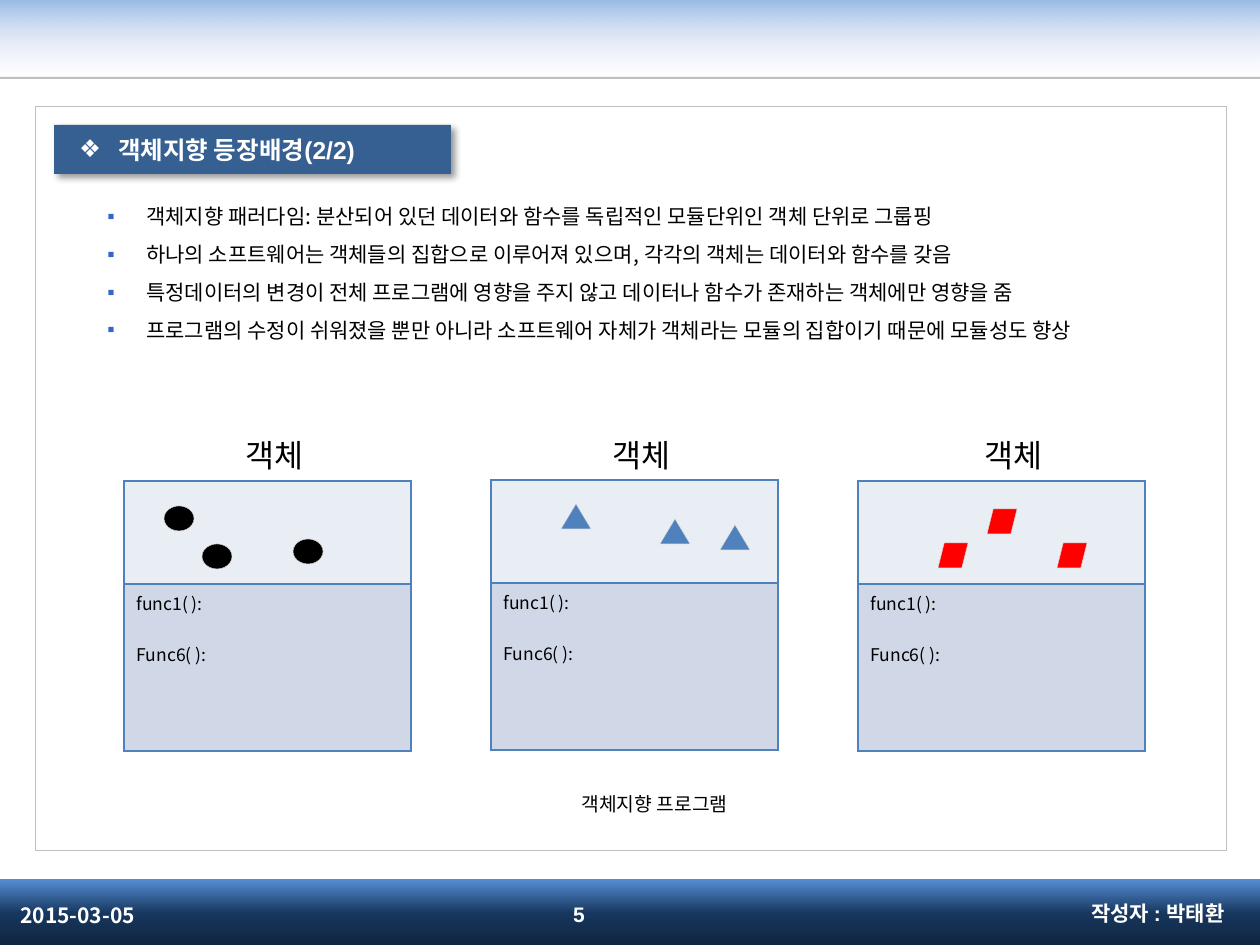
from lxml.etree import SubElement
from pptx import Presentation
from pptx.dml.color import RGBColor
from pptx.enum.shapes import MSO_SHAPE
from pptx.enum.text import MSO_ANCHOR, PP_ALIGN
from pptx.oxml import parse_xml
from pptx.oxml.ns import nsdecls, qn
from pptx.util import Pt

PX = 914400 / 126
THEME = {
    "sans": "Arial", "korean": "Noto Sans CJK KR",
    "text": "000000", "light": "FFFFFF", "rule": "BFBFBF", "title": "376092",
    "bullet": "3366CC", "border": "4F81BD", "data": "E9EDF4", "funcs": "D0D8E8",
    "mark_line": "D9D9D9",
    "title_pt": 14, "body_pt": 12, "caption_pt": 11, "func_pt": 10, "label_pt": 18,
}
# Gradient stops: position %, colour, opacity %
HEADER = [(0, "8EB4E3", 100), (50, "C2D1ED", 50), (100, "E1E8F5", 0)]
FOOTER = [(0, "558ED5", 100), (50, "17375E", 100), (100, "0F243E", 100)]

TITLE = "객체지향 등장배경(2/2)"
POINTS = [
    "객체지향 패러다임: 분산되어 있던 데이터와 함수를 독립적인 모듈단위인 객체 단위로 그룹핑",
    "하나의 소프트웨어는 객체들의 집합으로 이루어져 있으며, 각각의 객체는 데이터와 함수를 갖음",
    "특정데이터의 변경이 전체 프로그램에 영향을 주지 않고 데이터나 함수가 존재하는 객체에만 영향을 줌",
    "프로그램의 수정이 쉬워졌을 뿐만 아니라 소프트웨어 자체가 객체라는 모듈의 집합이기 때문에 모듈성도 향상",
]
FUNCS = ["func1( ):", "Func6( ):"]
CAPTION = "객체지향 프로그램"
FOOTER_TEXTS = [
    ("작성자 : 박태환", (838, 888, 399, 50), PP_ALIGN.RIGHT, "sans"),
    ("2015-03-05", (8, 890, 294, 50), PP_ALIGN.LEFT, "korean"),
    ("5", (432, 890, 294, 49), PP_ALIGN.CENTER, "sans"),
]
# Label box (left, width), table top, mark shape, colour, mark positions
OBJECTS = [
    ("객체", (194, 161), 481, MSO_SHAPE.OVAL, "000000",
     [(164, 506), (202, 544), (293, 539)]),
    ("객체", (544, 195), 480, MSO_SHAPE.ISOSCELES_TRIANGLE, "4F81BD",
     [(561, 504), (660, 519), (720, 525)]),
    ("객체", (907, 214), 481, MSO_SHAPE.PARALLELOGRAM, "FF0000",
     [(987, 509), (938, 543), (1057, 543)]),
]
TABLE_LEFT, TABLE_PITCH, TABLE_W, ROWS = 124, 367, 287, (103, 167)
MARK_SIZE = (30, 25)


def px(*values):
    """Turn pixels into EMU."""
    return [round(v * PX) for v in values]


def rgb(name):
    """Return a theme colour or a hex colour."""
    return RGBColor.from_string(THEME.get(name, name))


def add_box(box, fill=None, line=None, kind=MSO_SHAPE.RECTANGLE):
    """Add a preset shape with a plain fill and a hairline."""
    sp = s.shapes.add_shape(kind, *px(*box))
    sp.shadow.inherit = False
    if fill:
        sp.fill.solid()
        sp.fill.fore_color.rgb = rgb(fill)
    else:
        sp.fill.background()
    if line:
        sp.line.color.rgb = rgb(line)
        sp.line.width = Pt(0.25)
    else:
        sp.line.fill.background()
    return sp


def add_band(box, stops):
    """Add a rectangle with a vertical gradient."""
    sp = add_box(box, "light")
    gs = "".join(
        f'<a:gs pos="{pos * 1000}"><a:srgbClr val="{color}">'
        f'<a:alpha val="{alpha * 1000}"/></a:srgbClr></a:gs>'
        for pos, color, alpha in stops)
    solid = sp._element.spPr.find(qn("a:solidFill"))
    solid.getparent().replace(solid, parse_xml(
        f'<a:gradFill {nsdecls("a")} rotWithShape="1"><a:gsLst>{gs}</a:gsLst>'
        '<a:lin ang="5400000" scaled="0"/></a:gradFill>'))


def add_shadow(sp):
    """Give a shape a soft shadow to the lower right."""
    fx = sp._element.spPr.find(qn("a:effectLst"))
    fx.append(parse_xml(
        f'<a:outerShdw {nsdecls("a")} blurRad="50800" dist="38100" dir="2700000" '
        'algn="tl" rotWithShape="0"><a:srgbClr val="000000">'
        '<a:alpha val="40000"/></a:srgbClr></a:outerShdw>'))


def write(tf, lines, size, font="korean", color="text", bold=False, align=PP_ALIGN.LEFT):
    """Fill a text frame with one paragraph a line."""
    tf.text = "\n".join(lines)
    tf.word_wrap = True
    for p in tf.paragraphs:
        p.alignment = align
        for r in p.runs:
            r.font.name = THEME[font]
            r.font.size = Pt(THEME[size])
            r.font.bold = bold
            r.font.color.rgb = rgb(color)
            SubElement(r.font._element, qn("a:ea"), typeface=THEME["korean"])


def add_text(box, lines, size, **style):
    """Add a text box and return its text frame."""
    tf = s.shapes.add_textbox(*px(*box)).text_frame
    write(tf, lines, size, **style)
    return tf


def add_bullets(tf, char, color):
    """Put a hanging bullet on every paragraph."""
    indent = px(39)[0]
    for p in tf.paragraphs:
        pPr = p._p.get_or_add_pPr()
        pPr.set("marL", str(indent))
        pPr.set("indent", str(-indent))
        bu = SubElement(pPr, qn("a:buClr"))
        SubElement(bu, qn("a:srgbClr"), val=THEME[color])
        SubElement(pPr, qn("a:buFont"), typeface=THEME["sans"])
        SubElement(pPr, qn("a:buChar"), char=char)


def add_object_table(left, top):
    """Add a two-row table: data above, functions below."""
    table = s.shapes.add_table(2, 1, *px(left, top, TABLE_W, sum(ROWS))).table
    table.columns[0].width = px(TABLE_W)[0]
    for row, height, fill in zip(table.rows, ROWS, ("data", "funcs")):
        row.height = px(height)[0]
        cell = row.cells[0]
        cell.fill.solid()
        cell.fill.fore_color.rgb = rgb(fill)
        for i, side in enumerate(("lnL", "lnR", "lnT", "lnB")):
            cell._tc.get_or_add_tcPr().insert(i, parse_xml(
                f'<a:{side} {nsdecls("a")} w="12700"><a:solidFill>'
                f'<a:srgbClr val="{THEME["border"]}"/></a:solidFill></a:{side}>'))
    tf = table.cell(1, 0).text_frame
    write(tf, FUNCS, "func_pt")
    tf.paragraphs[1].space_before = Pt(14.5)


prs = Presentation()
prs.slide_width, prs.slide_height = px(1260, 945)
s = prs.slides.add_slide(prs.slide_layouts[6])

add_band((-5, -4, 1265, 83), HEADER)
add_band((-5, 879, 1265, 69), FOOTER)
add_box((0, 77, 1260, 2), "rule")
add_box((35, 106, 1191, 744), line="rule")

title = add_box((54, 125, 397, 49), "title")
add_shadow(title)
tf = title.text_frame
write(tf, [TITLE], "title_pt", font="sans", color="light", bold=True)
tf.margin_left = px(25)[0]
tf.vertical_anchor = MSO_ANCHOR.MIDDLE
add_bullets(tf, "❖", "light")

tf = add_text((95, 185, 1121, 204), POINTS, "body_pt")
for p in tf.paragraphs:
    p.line_spacing = 1.5
add_bullets(tf, "▪", "bullet")

for text, box, align, font in FOOTER_TEXTS:
    tf = add_text(box, [text], "body_pt", font=font, color="light", bold=True, align=align)
    tf.vertical_anchor = MSO_ANCHOR.MIDDLE

for i, (label, (left, width), top, kind, color, marks) in enumerate(OBJECTS):
    add_object_table(TABLE_LEFT + i * TABLE_PITCH, top)
    for mark in marks:
        add_box(mark + MARK_SIZE, color, "mark_line", kind)
    add_text((left, 430, width, 42), [label], "label_pt", align=PP_ALIGN.CENTER)

add_text((470, 786, 369, 36), [CAPTION], "caption_pt", align=PP_ALIGN.CENTER)
prs.save("out.pptx")
